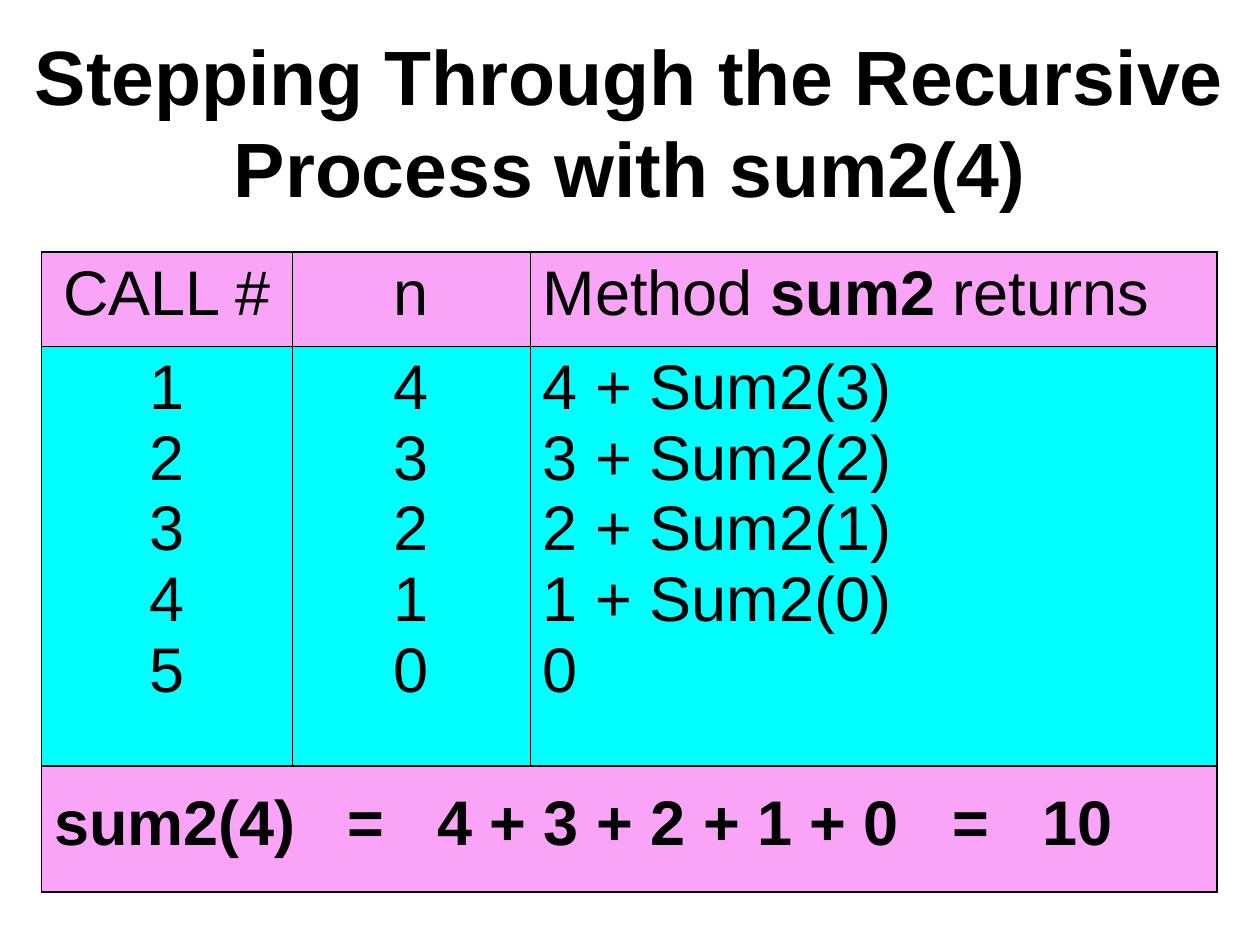
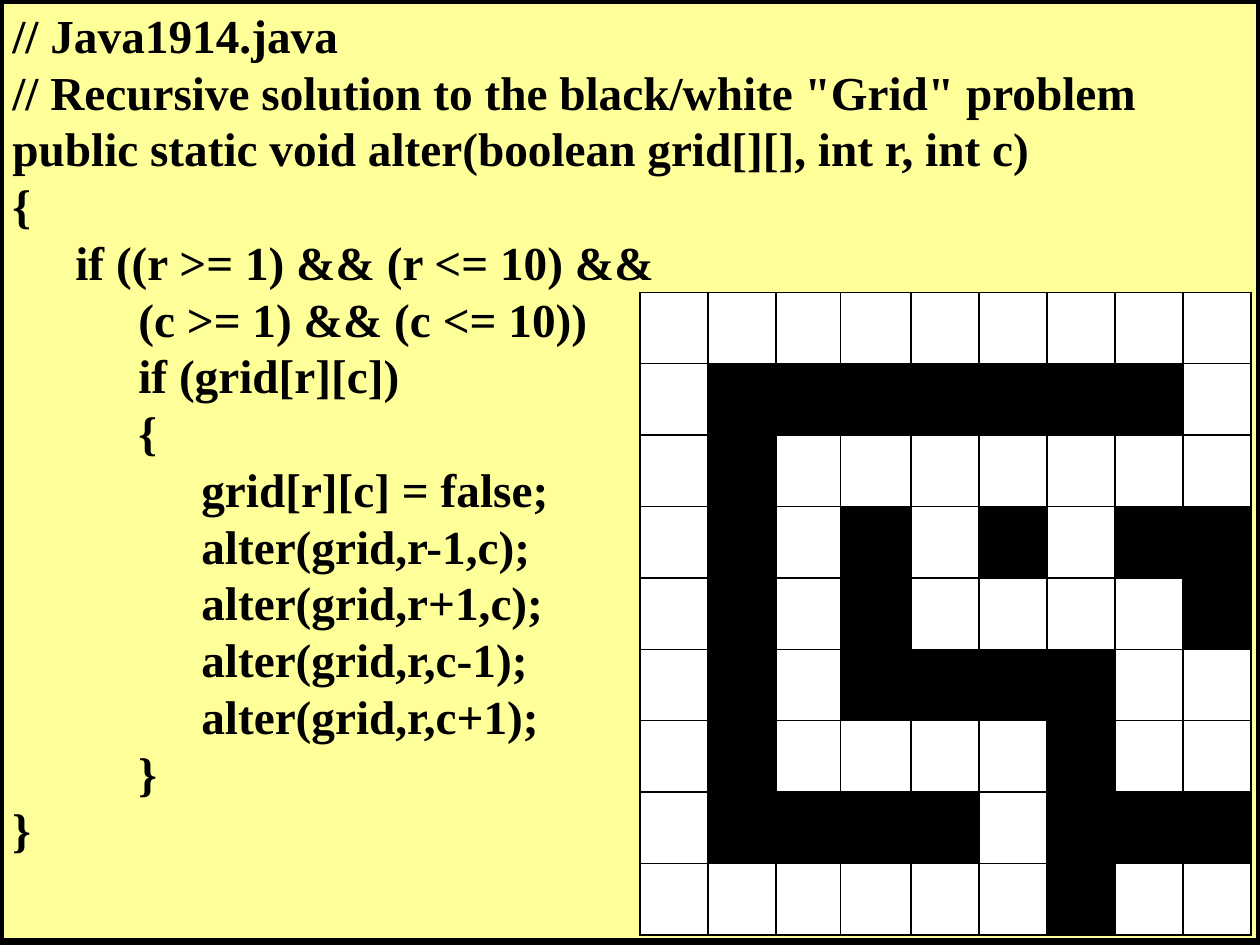
from pptx import Presentation
from pptx.dml.color import RGBColor
from pptx.enum.shapes import MSO_SHAPE
from pptx.enum.text import MSO_ANCHOR, PP_ALIGN
from pptx.oxml.ns import qn
from pptx.util import Inches, Pt
from lxml import etree

RECT = MSO_SHAPE.RECTANGLE
MIDDLE, TOP = MSO_ANCHOR.MIDDLE, MSO_ANCHOR.TOP
LEFT, CENTER = PP_ALIGN.LEFT, PP_ALIGN.CENTER

BLACK, WHITE = "000000", "FFFFFF"
PINK, CYAN, YELLOW = "FAA4F8", "00FFFF", "FFFF99"
SANS, SERIF = "Arial", "Times New Roman"

CALL_COLUMNS = [
    ("CALL #", ["1", "2", "3", "4", "5"], CENTER),
    ("n", ["4", "3", "2", "1", "0"], CENTER),
    ("Method sum2 returns",
     ["4 + Sum2(3)", "3 + Sum2(2)", "2 + Sum2(1)", "1 + Sum2(0)", "0"], LEFT),
]
RESULT = "sum2(4)\t=\t4 + 3 + 2 + 1 + 0\t=\t10"
RESULT_TABS = [2.33, 3.04, 7.13, 7.84]

CODE = """// Java1914.java
// Recursive solution to the black/white "Grid" problem
public static void alter(boolean grid[][], int r, int c)
{
\tif ((r >= 1) && (r <= 10) &&
\t\t(c >= 1) && (c <= 10))
\t\tif (grid[r][c])
\t\t{
\t\t\tgrid[r][c] = false;
\t\t\talter(grid,r-1,c);
\t\t\talter(grid,r+1,c);
\t\t\talter(grid,r,c-1);
\t\t\talter(grid,r,c+1);
\t\t}
}"""
CODE_TABS = [0.5, 1, 1.5]

GRID = [
    ".........",
    ".#######.",
    ".#.......",
    ".#.#.#.##",
    ".#.#....#",
    ".#.####..",
    ".#....#..",
    ".####.###",
    "......#..",
]


def rgb(color):
    return RGBColor.from_string(color)


def paint(fill, color):
    fill.solid()
    fill.fore_color.rgb = rgb(color)


def format_run(r, font, size, bold):
    r.font.name = font
    r.font.size = Pt(size)
    r.font.bold = bold
    r.font.color.rgb = rgb(BLACK)


def set_tabs(p, stops):
    tabs = etree.SubElement(p._p.get_or_add_pPr(), qn("a:tabLst"))
    for stop in stops:
        etree.SubElement(tabs, qn("a:tab"), pos=str(Inches(stop)), algn="l")


def write(tf, lines, font, size, bold=False, align=LEFT, tabs=()):
    tf.text = "\n".join(lines)
    for p in tf.paragraphs:
        if tabs:
            set_tabs(p, tabs)
        p.alignment = align
        for r in p.runs:
            format_run(r, font, size, bold)


def add_title(s, text):
    tf = s.shapes.add_textbox(Inches(0), Inches(0.17), Inches(10), Inches(1.58)).text_frame
    tf.word_wrap = True
    tf.vertical_anchor = MIDDLE
    write(tf, [text], SANS, 44, True, CENTER)


def style_cell(cell, color):
    tcPr = cell._tc.get_or_add_tcPr()
    for side in ("a:lnL", "a:lnR", "a:lnT", "a:lnB"):
        ln = etree.SubElement(tcPr, qn(side), w=str(Pt(1)))
        fill = etree.SubElement(ln, qn("a:solidFill"))
        etree.SubElement(fill, qn("a:srgbClr"), val=BLACK)
    paint(cell.fill, color)


def add_table(s, left, top, widths, heights, color_at):
    table = s.shapes.add_table(len(heights), len(widths), Inches(left), Inches(top),
                               Inches(sum(widths)), Inches(sum(heights))).table
    table.first_row = False
    table.horz_banding = False
    for column, width in zip(table.columns, widths):
        column.width = Inches(width)
    for row, height in zip(table.rows, heights):
        row.height = Inches(height)
    for i in range(len(heights)):
        for j in range(len(widths)):
            style_cell(table.cell(i, j), color_at(i, j))
    return table


def add_call_table(s):
    table = add_table(s, 0.33, 2, [1.99, 1.89, 5.45], [0.75, 3.33, 1],
                      lambda i, j: CYAN if i == 1 else PINK)
    for j, (heading, values, align) in enumerate(CALL_COLUMNS):
        write(table.cell(0, j).text_frame, [heading], SANS, 36, align=align)
        write(table.cell(1, j).text_frame, values, SANS, 36, align=align)

    p = table.cell(0, 2).text_frame.paragraphs[0]
    p.text = ""
    for text, bold in (("Method ", False), ("sum2", True), (" returns", False)):
        r = p.add_run()
        r.text = text
        format_run(r, SANS, 36, bold)

    result = table.cell(2, 0)
    result.merge(table.cell(2, 2))
    result.margin_top = Inches(0.18)
    write(result.text_frame, [RESULT], SANS, 36, True, tabs=RESULT_TABS)


def add_code_panel(s):
    sp = s.shapes.add_shape(RECT, Inches(0), Inches(0), Inches(10), Inches(7.48))
    sp.shadow.inherit = False
    paint(sp.fill, YELLOW)
    sp.line.color.rgb = rgb(BLACK)
    sp.line.width = Pt(4.5)
    tf = sp.text_frame
    tf.word_wrap = True
    tf.vertical_anchor = TOP
    write(tf, CODE.split("\n"), SERIF, 27, True, tabs=CODE_TABS)


def add_grid(s):
    widths = [0.54, 0.54, 0.51, 0.56] + [0.54] * 5
    add_table(s, 5.08, 2.32, widths, [5.1 / len(GRID)] * len(GRID),
              lambda i, j: BLACK if GRID[i][j] == "#" else WHITE)


def main():
    prs = Presentation()
    prs.slide_width, prs.slide_height = Inches(10), Inches(7.5)
    blank = prs.slide_layouts[6]

    s = prs.slides.add_slide(blank)
    add_title(s, "Stepping Through the Recursive Process with sum2(4)")
    add_call_table(s)

    s = prs.slides.add_slide(blank)
    add_code_panel(s)
    add_grid(s)

    prs.save("out.pptx")


if __name__ == "__main__":
    main()
